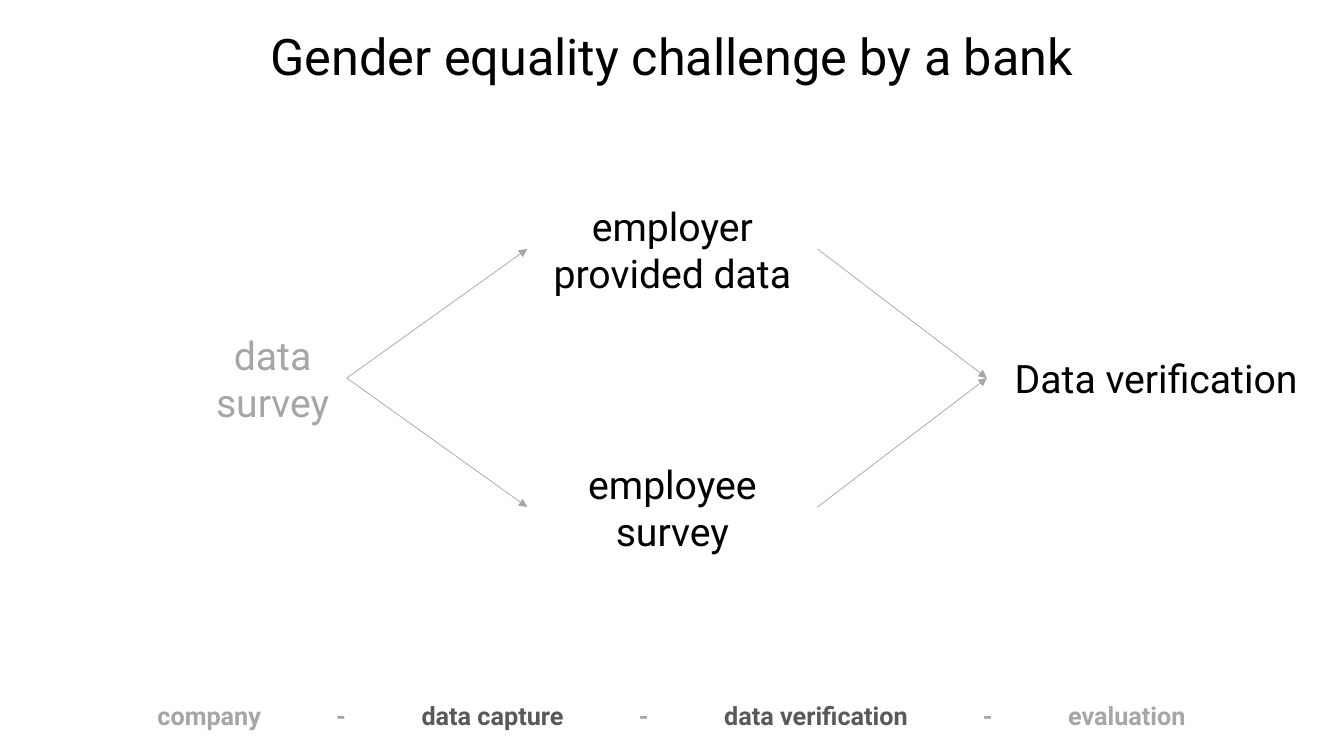
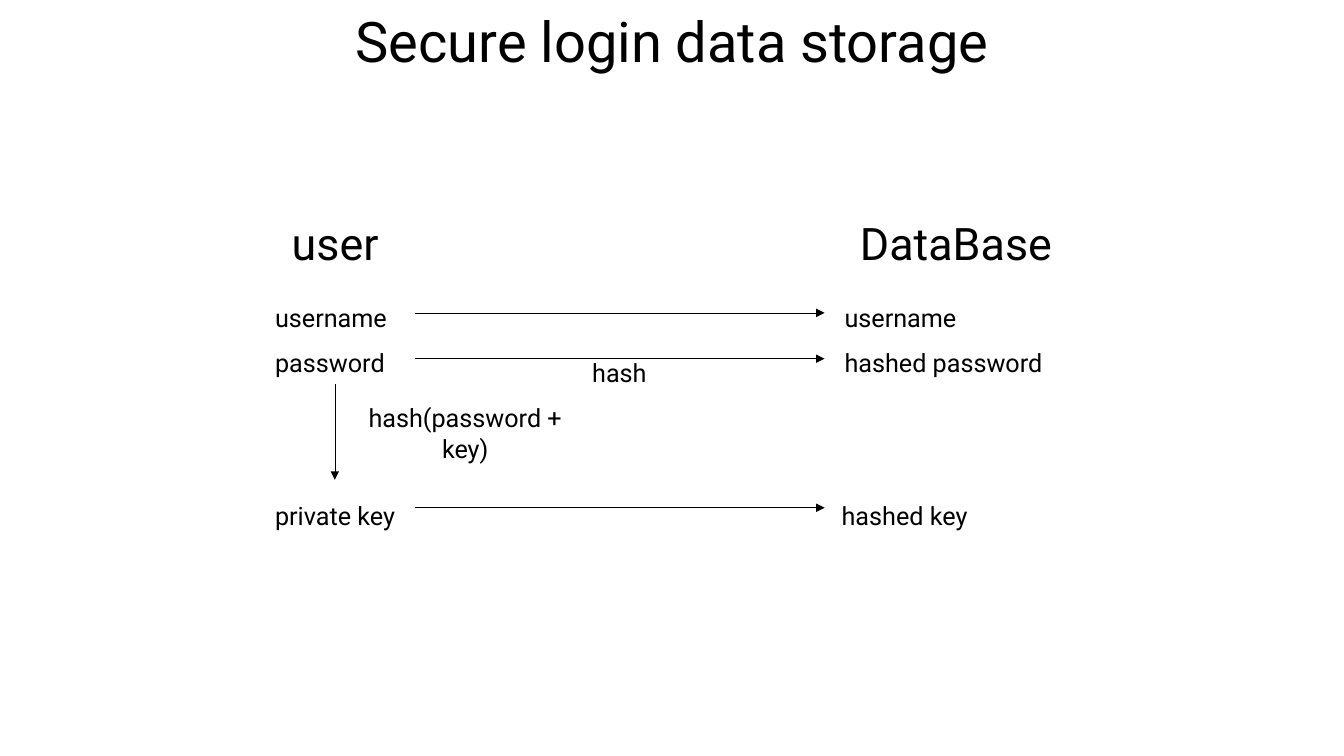
from lxml.etree import SubElement
from pptx import Presentation
from pptx.dml.color import RGBColor
from pptx.enum.shapes import MSO_CONNECTOR
from pptx.enum.text import MSO_ANCHOR, PP_ALIGN
from pptx.oxml.ns import qn
from pptx.util import Pt

FONT = "Roboto"
BLACK, DARK, GREY = "000000", "595959", "A6A6A6"


def paint(color_format, value):
    color_format.rgb = RGBColor.from_string(value)


def add_span(para, text, size, color, bold=False):
    span = para.add_run()
    span.text = text
    span.font.name = FONT
    span.font.size = Pt(size)
    span.font.bold = bold
    paint(span.font.color, color)


def add_frame(page, left, top, width, height, anchor=MSO_ANCHOR.MIDDLE):
    box = page.shapes.add_textbox(Pt(left), Pt(top), Pt(width), Pt(height))
    frame = box.text_frame
    frame.word_wrap = True
    frame.vertical_anchor = anchor
    return frame


def add_text(page, area, lines, size, color=BLACK, align=PP_ALIGN.CENTER,
             spacing=1, anchor=MSO_ANCHOR.MIDDLE):
    frame = add_frame(page, *area, anchor=anchor)
    for index, line in enumerate(lines):
        para = frame.add_paragraph() if index else frame.paragraphs[0]
        para.alignment = align
        para.line_spacing = spacing
        add_span(para, line, size, color)


def add_title(page, text, top, size):
    add_text(page, (64.8, top, 830.4, size * 1.4), [text], size)


def add_list(page, area, lines, align=PP_ALIGN.LEFT):
    add_text(page, area, lines, 18, align=align, spacing=1.5,
             anchor=MSO_ANCHOR.TOP)


def add_arrow(page, start, end, color):
    arrow = page.shapes.add_connector(
        MSO_CONNECTOR.STRAIGHT, *[Pt(value) for value in (*start, *end)])
    arrow.line.width = Pt(0.5)
    paint(arrow.line.color, color)
    SubElement(arrow.line._get_or_add_ln(), qn("a:tailEnd"), type="triangle")
    SubElement(arrow._element.spPr, qn("a:effectLst"))


def add_steps(page, steps, centers):
    """One line of steps and dashes, each centred on its own tab stop."""
    left, inset = 19.4, 7.2
    para = add_frame(page, left, 496.8, 921.6, 28.8).paragraphs[0]
    para.alignment = PP_ALIGN.LEFT
    tabs = SubElement(para._p.get_or_add_pPr(), qn("a:tabLst"))
    for center in centers:
        SubElement(tabs, qn("a:tab"), algn="ctr",
                   pos=str(Pt(center - left - inset)))
    for index, (text, color) in enumerate(steps):
        if index:
            add_span(para, "\t-", 18, GREY, bold=True)
        add_span(para, "\t" + text, 18, color, bold=True)


def build_challenge(page):
    add_title(page, "Gender equality challenge by a bank", 14.4, 36)

    # Flow: the survey splits into two sources that meet in verification
    middle, offset, height = 270, 92.2, 75
    survey_right, source_left, source_right, check_left = 247.7, 376.6, 583.9, 704.9
    add_text(page, (141.8, middle - height / 2, 105.9, height),
             ["data", "survey"], 28, GREY)
    add_text(page, (check_left, middle - 20.5, 241.9, 41),
             ["Data verification"], 28)
    sources = [(middle - offset, ["employer", "provided data"]),
               (middle + offset, ["employee", "survey"])]
    for center, lines in sources:
        add_text(page, (source_left, center - height / 2,
                        source_right - source_left, height), lines, 28)
        add_arrow(page, (survey_right, middle), (source_left, center), GREY)
        add_arrow(page, (source_right, center), (check_left, middle), GREY)

    # Progress line
    add_steps(page,
              [("company", GREY), ("data capture", DARK),
               ("data verification", DARK), ("evaluation", GREY)],
              [149.6, 243.8, 352, 460, 583, 705.7, 805])


def build_storage(page):
    add_title(page, "Secure login data storage", 0.5, 40)

    # Column headings
    add_text(page, (189.4, 150.5, 100, 46), ["user"], 32)
    add_text(page, (595.4, 150.5, 175, 46), ["DataBase"], 32)

    # Stored values on both sides
    add_list(page, (189.4, 201.6, 100, 72.7), ["username", "password"])
    add_list(page, (596.2, 201.6, 172, 72.7), ["username", "hashed password"])
    add_list(page, (182.9, 342.7, 113, 40.3), ["private key"], PP_ALIGN.CENTER)
    add_list(page, (589.7, 342.7, 113, 40.3), ["hashed key"], PP_ALIGN.CENTER)

    # Transfers and their labels
    for height in (223.5, 256.2, 362.7):
        add_arrow(page, (296.6, height), (589, height), BLACK)
    add_arrow(page, (239.2, 274.3), (239.2, 342.7), BLACK)
    add_text(page, (399.6, 251.3, 85.7, 28.8), ["hash"], 18)
    add_text(page, (239.2, 294.8, 186.2, 28.8), ["hash(password + key)"], 18)


def main():
    deck = Presentation()
    deck.slide_width, deck.slide_height = Pt(960), Pt(540)
    for build in (build_challenge, build_storage):
        build(deck.slides.add_slide(deck.slide_layouts[6]))
    deck.save("out.pptx")


if __name__ == "__main__":
    main()
